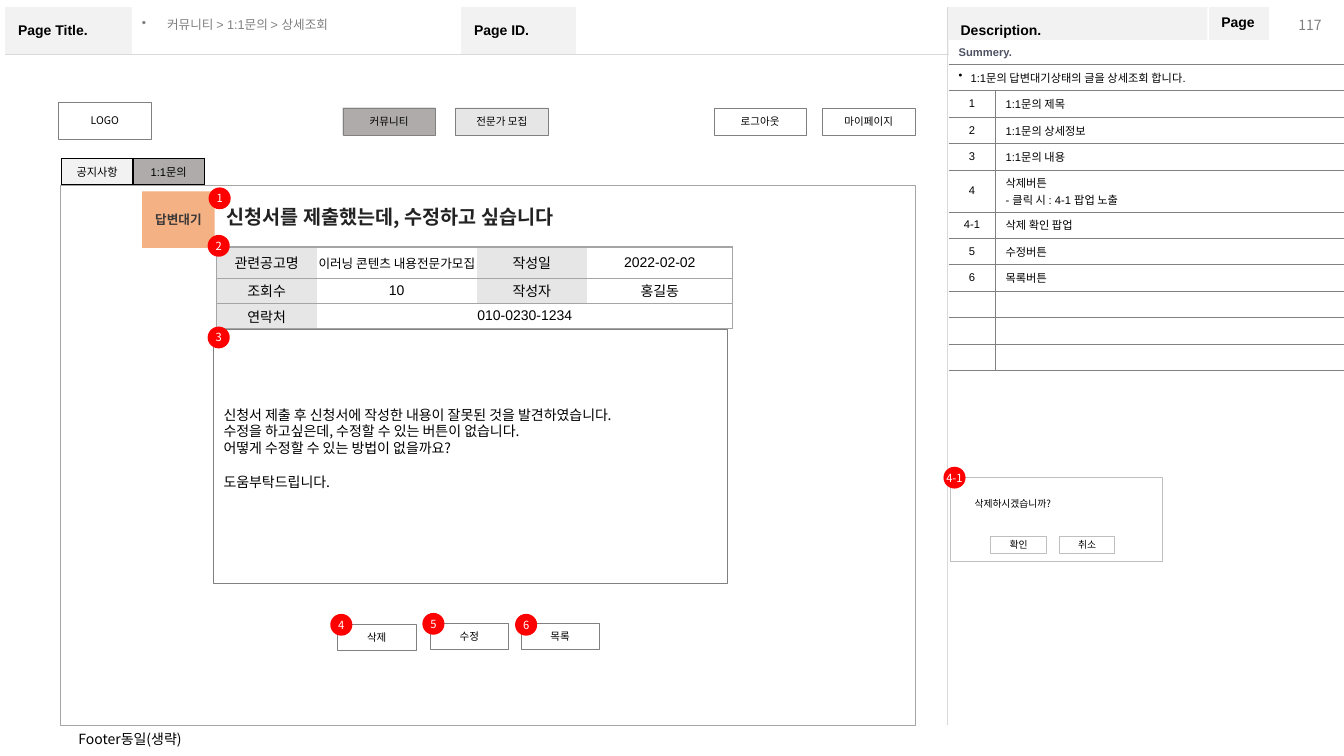
from dataclasses import dataclass
from typing import NamedTuple, Optional

from lxml.etree import SubElement
from pptx import Presentation
from pptx.dml.color import RGBColor
from pptx.enum.shapes import MSO_SHAPE
from pptx.enum.text import MSO_ANCHOR, PP_ALIGN
from pptx.oxml.ns import qn
from pptx.util import Pt


@dataclass(frozen=True)
class Theme:
    latin: str = "Arial"
    korean: str = "Noto Sans CJK KR"
    black: str = "000000"
    white: str = "FFFFFF"
    red: str = "FF0000"
    orange: str = "F4B183"
    title_ink: str = "222222"
    status_ink: str = "3B3838"
    summary_ink: str = "4E5263"
    number_ink: str = "7F7F7F"
    pale: str = "F2F2F2"
    light: str = "E7E6E6"
    active: str = "AFABAB"
    rule: str = "D9D9D9"
    edge: str = "808080"
    frame: str = "A5A5A5"
    popup_edge: str = "BFBFBF"
    title: float = 14
    body: float = 10
    medium: float = 9
    small: float = 8
    button: float = 7.5
    popup: float = 7


THEME = Theme()
NO_TABLE_STYLE = "{2D5ABB26-0587-4C30-8999-92F81FD0307C}"
CENTER = PP_ALIGN.CENTER


class Area(NamedTuple):
    left: float
    top: float
    width: float
    height: float


class Button(NamedTuple):
    label: str
    area: Area
    fill: str = THEME.white
    line: str = THEME.edge
    weight: float = 0.25
    size: float = THEME.button


class Badge(NamedTuple):
    label: str
    left: float
    top: float


def write_text(holder, text: str, *, size: float = THEME.small, color: str = THEME.black,
               font: str = THEME.korean, bold: bool = False, align=PP_ALIGN.LEFT,
               bullet_indent: float = 0, line_height: Optional[float] = None,
               gap_before_last: float = 0) -> None:
    """Write one paragraph for each line of text into a text frame."""
    lines = text.split("\n")
    for index, line in enumerate(lines):
        para = holder.paragraphs[0] if index == 0 else holder.add_paragraph()
        para.alignment = align
        if line_height:
            para.line_spacing = Pt(line_height)
        if gap_before_last and index == len(lines) - 1:
            para.space_before = Pt(gap_before_last)
        if bullet_indent:
            properties = para._p.get_or_add_pPr()
            properties.set("marL", str(Pt(bullet_indent)))
            properties.set("indent", str(-Pt(bullet_indent)))
            SubElement(properties, qn("a:buChar")).set("char", "•")
        if not line:
            SubElement(para._p, qn("a:endParaRPr")).set("sz", str(int(size * 100)))
            continue
        span = para.add_run()
        span.text = line
        span.font.size = Pt(size)
        span.font.bold = bold
        span.font.color.rgb = RGBColor.from_string(color)
        span.font.name = font
        SubElement(span._r.get_or_add_rPr(), qn("a:ea")).set("typeface", THEME.korean)


def set_insets(holder, across: float, down: float) -> None:
    holder.margin_left = holder.margin_right = Pt(across)
    holder.margin_top = holder.margin_bottom = Pt(down)


def add_box(page, area: Area, *, shape=MSO_SHAPE.RECTANGLE, fill: Optional[str] = None,
            line: Optional[str] = None, weight: float = 0.75):
    box = page.shapes.add_shape(shape, *map(Pt, area))
    box.shadow.inherit = False
    if fill:
        box.fill.solid()
        box.fill.fore_color.rgb = RGBColor.from_string(fill)
    else:
        box.fill.background()
    if line:
        box.line.color.rgb = RGBColor.from_string(line)
        box.line.width = Pt(weight)
    else:
        box.line.fill.background()
    holder = box.text_frame
    holder.vertical_anchor = MSO_ANCHOR.MIDDLE
    holder.word_wrap = False
    set_insets(holder, 0, 0)
    return box


def add_label(page, area: Area, text: str, *, wrap: bool = True, **style) -> None:
    holder = page.shapes.add_textbox(*map(Pt, area)).text_frame
    holder.word_wrap = wrap
    holder.vertical_anchor = MSO_ANCHOR.MIDDLE
    set_insets(holder, 7.2, 3.6)
    write_text(holder, text, **style)


def add_grid(page, left: float, top: float, columns: list[float], rows: list[float]):
    area = Area(left, top, sum(columns), sum(rows))
    graphic = page.shapes.add_table(len(rows), len(columns), *map(Pt, area))
    grid = graphic.table
    grid.first_row = grid.horz_banding = False
    grid._tbl.tblPr.find(qn("a:tableStyleId")).text = NO_TABLE_STYLE
    for column, width in zip(grid.columns, columns):
        column.width = Pt(width)
    for row, height in zip(grid.rows, rows):
        row.height = Pt(height)
    return grid


def fill_cell(cell, text: str = "", *, fill: Optional[str] = None, sides: str = "",
              line: str = THEME.edge, weight: float = 0.25,
              insets: tuple[float, float] = (7.2, 3.6), **style) -> None:
    """Format one cell; sides holds any of the letters L, R, T and B."""
    cell.vertical_anchor = MSO_ANCHOR.MIDDLE
    set_insets(cell, *insets)
    write_text(cell.text_frame, text, **{"font": THEME.latin, **style})
    properties = cell._tc.get_or_add_tcPr()
    for side in (side for side in "LRTB" if side in sides):
        border = SubElement(properties, qn(f"a:ln{side}"), w=str(Pt(weight)))
        SubElement(SubElement(border, qn("a:solidFill")), qn("a:srgbClr"), val=line)
    if fill:
        cell.fill.solid()
        cell.fill.fore_color.rgb = RGBColor.from_string(fill)
    else:
        cell.fill.background()


def add_page_frame(page) -> None:
    grid = add_grid(page, 3.6, 5, [90.7, 235, 82.2, 265.4, 186.2, 43.4, 49], [33.6, 479.4])
    headings = ["Page Title.", "", "Page ID.", "", "Description.", "Page.", ""]
    for column, heading in enumerate(headings):
        fill_cell(grid.cell(0, column), heading, fill=THEME.pale if heading else None,
                  sides={3: "RB", 4: "LB"}.get(column, "B"), line=THEME.rule,
                  insets=(9.4, 5), size=THEME.body, bold=True)
    for first, last, sides in ((0, 3, "RT"), (4, 6, "LT")):
        grid.cell(1, first).merge(grid.cell(1, last))
        fill_cell(grid.cell(1, first), sides=sides, line=THEME.rule)
    # White gap between the two right-hand headings
    add_box(page, Area(862.5, 5, 1, 33), fill=THEME.white)
    add_label(page, Area(907.9, 7.2, 43.2, 21.6), "117", size=THEME.body,
              color=THEME.number_ink, align=PP_ALIGN.RIGHT)
    add_label(page, Area(94.3, 8.6, 233.3, 17.3), "커뮤니티 > 1:1문의 > 상세조회",
              size=THEME.medium, color=THEME.edge, font=THEME.latin, bullet_indent=18)


def add_description(page) -> None:
    entries = [("1", "1:1문의 제목"), ("2", "1:1문의 상세정보"), ("3", "1:1문의 내용"),
               ("4", "삭제버튼\n- 클릭 시 : 4-1 팝업 노출"), ("4-1", "삭제 확인 팝업"),
               ("5", "수정버튼"), ("6", "목록버튼")] + [("", "")] * 3
    heights = [30 if "\n" in note else 18.9 for _, note in entries]
    grid = add_grid(page, 677.5, 28.8, [33.6, 249.1], [16, 19, *heights])
    for row in (0, 1):
        grid.cell(row, 0).merge(grid.cell(row, 1))
    fill_cell(grid.cell(0, 0), "Summery.", fill=THEME.white, sides="B",
              color=THEME.summary_ink, bold=True)
    fill_cell(grid.cell(1, 0), "1:1문의 답변대기상태의 글을 상세조회 합니다.", sides="TB",
              bullet_indent=8.6)
    for row, (number, note) in enumerate(entries, start=2):
        fill_cell(grid.cell(row, 0), number, sides="RTB", align=CENTER)
        fill_cell(grid.cell(row, 1), note, sides="LTB")


def add_inquiry(page) -> None:
    # Tabs and title
    tabs = add_grid(page, 43.9, 113, [51.1, 51.1], [18.7])
    for column, (name, fill) in enumerate((("공지사항", THEME.pale), ("1:1문의", THEME.active))):
        fill_cell(tabs.cell(0, column), name, fill=fill, sides="LRTB", line=THEME.black,
                  weight=1, insets=(0, 0), align=CENTER)
    add_label(page, Area(154.8, 142.6, 273.6, 24.5), "신청서를 제출했는데, 수정하고 싶습니다",
              wrap=False, size=THEME.title, color=THEME.title_ink, bold=True)
    status = add_box(page, Area(101.5, 136.8, 51.8, 40.3), fill=THEME.orange)
    write_text(status.text_frame, "답변대기", size=THEME.medium, color=THEME.status_ink,
               bold=True, align=CENTER)

    # Details
    details = [["관련공고명", "이러닝 콘텐츠 내용전문가모집", "작성일", "2022-02-02"],
               ["조회수", "10", "작성자", "홍길동"],
               ["연락처", "010-0230-1234"]]
    grid = add_grid(page, 154.8, 176.4, [71.3, 114.5, 78.5, 104.4], [22.3, 18, 18])
    grid.cell(2, 1).merge(grid.cell(2, 3))
    for row, values in enumerate(details):
        for column, value in enumerate(values):
            ends = ("L" if column == 0 else "") + ("R" if column == len(values) - 1 else "")
            fill_cell(grid.cell(row, column), value, sides="TB" + ends, line=THEME.frame,
                      weight=1, fill=THEME.white if column % 2 else THEME.light,
                      insets=(0.5, 0.5), align=CENTER,
                      size=THEME.medium if (row, column) == (0, 1) else THEME.body)

    # Message
    message = add_box(page, Area(152.6, 235.4, 367.2, 181.4), fill=THEME.white, line=THEME.edge)
    set_insets(message.text_frame, 7.2, 3.6)
    message.text_frame.margin_bottom = Pt(15.6)
    message.text_frame.word_wrap = True
    write_text(message.text_frame,
               "신청서 제출 후 신청서에 작성한 내용이 잘못된 것을 발견하였습니다.\n"
               "수정을 하고싶은데, 수정할 수 있는 버튼이 없습니다.\n"
               "어떻게 수정할 수 있는 방법이 없을까요?\n도움부탁드립니다.",
               size=THEME.body, line_height=12, gap_before_last=12)


def add_button(page, button: Button) -> None:
    box = add_box(page, button.area, fill=button.fill, line=button.line, weight=button.weight)
    write_text(box.text_frame, button.label, size=button.size, align=CENTER)


def add_badge(page, badge: Badge) -> None:
    circle = add_box(page, Area(badge.left, badge.top, 15.8, 15.6),
                     shape=MSO_SHAPE.OVAL, fill=THEME.red)
    write_text(circle.text_frame, badge.label, color=THEME.white, align=CENTER)


def popup_button(label: str, left: float) -> Button:
    return Button(label, Area(left, 383, 39.6, 12.2), line=THEME.popup_edge, weight=0.75,
                  size=THEME.popup)


BUTTONS = [
    Button("LOGO", Area(41.8, 72.7, 66.2, 26.6)),
    Button("커뮤니티", Area(244.8, 77, 66.2, 19.4), THEME.active),
    Button("전문가 모집", Area(325.4, 77, 66.2, 19.4), THEME.light),
    Button("로그아웃", Area(509.8, 77, 66.2, 19.4)),
    Button("마이페이지", Area(587.5, 77, 66.2, 19.4)),
    Button("삭제", Area(241.2, 445.7, 55.8, 18.7)),
    Button("수정", Area(307.4, 445, 55.8, 18.7)),
    Button("목록", Area(372.2, 445, 55.8, 18.7)),
    popup_button("확인", 707.8),
    popup_button("취소", 756.7),
]
BADGES = [Badge("1", 149, 133.9), Badge("2", 148.3, 167.8), Badge("3", 148.3, 233.3),
          Badge("4", 235.9, 438.5), Badge("5", 301.7, 437.8), Badge("6", 367.9, 438.5),
          Badge("4-1", 673.9, 333.4)]


def main() -> None:
    deck = Presentation()
    deck.slide_width, deck.slide_height = Pt(960), Pt(540)
    page = deck.slides.add_slide(deck.slide_layouts[6])
    add_page_frame(page)
    add_description(page)
    # Content frame and footer
    add_box(page, Area(43.2, 132.5, 610.6, 385.9), line=THEME.frame)
    add_label(page, Area(49, 518.4, 151.2, 19.4), "Footer동일(생략)", size=THEME.body)
    add_inquiry(page)
    # Delete confirmation
    add_box(page, Area(679, 341.3, 151.2, 59.8), fill=THEME.white, line=THEME.popup_edge)
    question = add_box(page, Area(696.2, 350.6, 122.4, 18), fill=THEME.white)
    write_text(question.text_frame, "삭제하시겠습니까?", size=THEME.popup)
    # Controls and callout numbers
    for button in BUTTONS:
        add_button(page, button)
    for badge in BADGES:
        add_badge(page, badge)
    deck.save("out.pptx")


if __name__ == "__main__":
    main()
